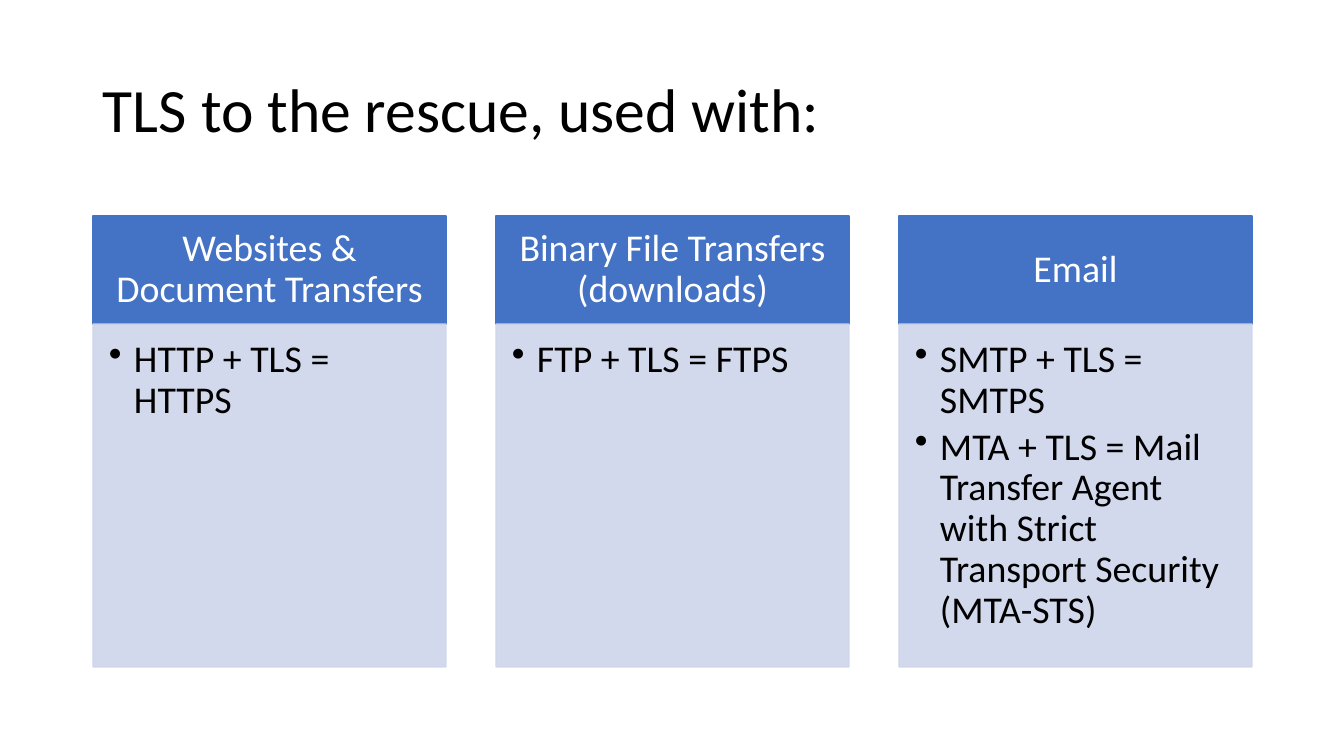
import pptx
import pptx.dml.color
import pptx.enum.shapes
import pptx.enum.text
import pptx.oxml.ns
import pptx.util
from lxml import etree

TITLE = "TLS to the rescue, used with:"
COLUMNS = [
    ("Websites & Document Transfers", ["HTTP + TLS = HTTPS"]),
    ("Binary File Transfers (downloads)", ["FTP + TLS = FTPS"]),
    ("Email", [
        "SMTP + TLS = SMTPS",
        "MTA + TLS = Mail Transfer Agent with Strict Transport Security (MTA-STS)",
    ]),
]

THEME = {
    "font": "Calibri",
    "title_size": 44,
    "column_size": 27,
    "text": "000000",
    "header_text": "FFFFFF",
    "header_fill": "4472C4",
    "body_fill": "CFD5EA",
    "body_opacity": 90,
}

PX_PER_INCH = 100.8
PAGE_WIDTH, PAGE_HEIGHT = 1344, 756
LEFT = 93
TITLE_TOP, TITLE_WIDTH, TITLE_HEIGHT = 40, 1159, 146
COLUMN_WIDTH, COLUMN_STEP = 353, 403
HEADER_TOP, HEADER_HEIGHT, BODY_HEIGHT = 216, 108, 343
BULLET_INDENT = 25
TITLE_INSETS = (10, 5, 10, 5)
HEADER_INSETS = (21, 12, 21, 12)
BODY_INSETS = (16, 16, 21, 24)


def px(length):
    return pptx.util.Emu(round(length * 914400 / PX_PER_INCH))


def rgb(name):
    return pptx.dml.color.RGBColor.from_string(THEME[name])


def write(box, lines, size, color, insets, anchor, align, space_after=0):
    frame = box.text_frame
    frame.word_wrap = True
    frame.vertical_anchor = anchor
    (frame.margin_left, frame.margin_top,
     frame.margin_right, frame.margin_bottom) = map(px, insets)
    frame.text = "\n".join(lines)
    for para in frame.paragraphs:
        para.alignment = align
        para.line_spacing = 0.9
        para.space_after = pptx.util.Pt(space_after)
        for span in para.runs:
            span.font.name = THEME["font"]
            span.font.size = pptx.util.Pt(THEME[size])
            span.font.color.rgb = rgb(color)


def add_panel(page, left, top, height, color, opacity=100):
    panel = page.shapes.add_shape(
        pptx.enum.shapes.MSO_SHAPE.RECTANGLE,
        px(left), px(top), px(COLUMN_WIDTH), px(height))
    panel.shadow.inherit = False
    panel.line.width = pptx.util.Pt(1)
    for fill in (panel.fill, panel.line.fill):
        fill.solid()
        fill.fore_color.rgb = rgb(color)
    if opacity < 100:
        for tint in panel._element.spPr.iter(pptx.oxml.ns.qn("a:srgbClr")):
            alpha = etree.SubElement(tint, pptx.oxml.ns.qn("a:alpha"))
            alpha.set("val", str(opacity * 1000))
    return panel


def add_bullets(box):
    for para in box.text_frame.paragraphs:
        properties = para._p.get_or_add_pPr()
        properties.set("marL", str(px(BULLET_INDENT)))
        properties.set("indent", str(-px(BULLET_INDENT)))
        bullet = etree.SubElement(properties, pptx.oxml.ns.qn("a:buChar"))
        bullet.set("char", "•")


def main():
    anchors = pptx.enum.text.MSO_ANCHOR
    aligns = pptx.enum.text.PP_ALIGN
    deck = pptx.Presentation()
    deck.slide_width, deck.slide_height = px(PAGE_WIDTH), px(PAGE_HEIGHT)
    page = deck.slides.add_slide(deck.slide_layouts[6])

    title = page.shapes.add_textbox(
        px(LEFT), px(TITLE_TOP), px(TITLE_WIDTH), px(TITLE_HEIGHT))
    write(title, [TITLE], "title_size", "text", TITLE_INSETS,
          anchors.MIDDLE, aligns.LEFT)

    for index, (heading, points) in enumerate(COLUMNS):
        left = LEFT + index * COLUMN_STEP
        header = add_panel(page, left, HEADER_TOP, HEADER_HEIGHT, "header_fill")
        write(header, [heading], "column_size", "header_text", HEADER_INSETS,
              anchors.MIDDLE, aligns.CENTER)
        body = add_panel(page, left, HEADER_TOP + HEADER_HEIGHT, BODY_HEIGHT,
                         "body_fill", THEME["body_opacity"])
        write(body, points, "column_size", "text", BODY_INSETS,
              anchors.TOP, aligns.LEFT, space_after=4)
        add_bullets(body)

    deck.save("out.pptx")


if __name__ == "__main__":
    main()
